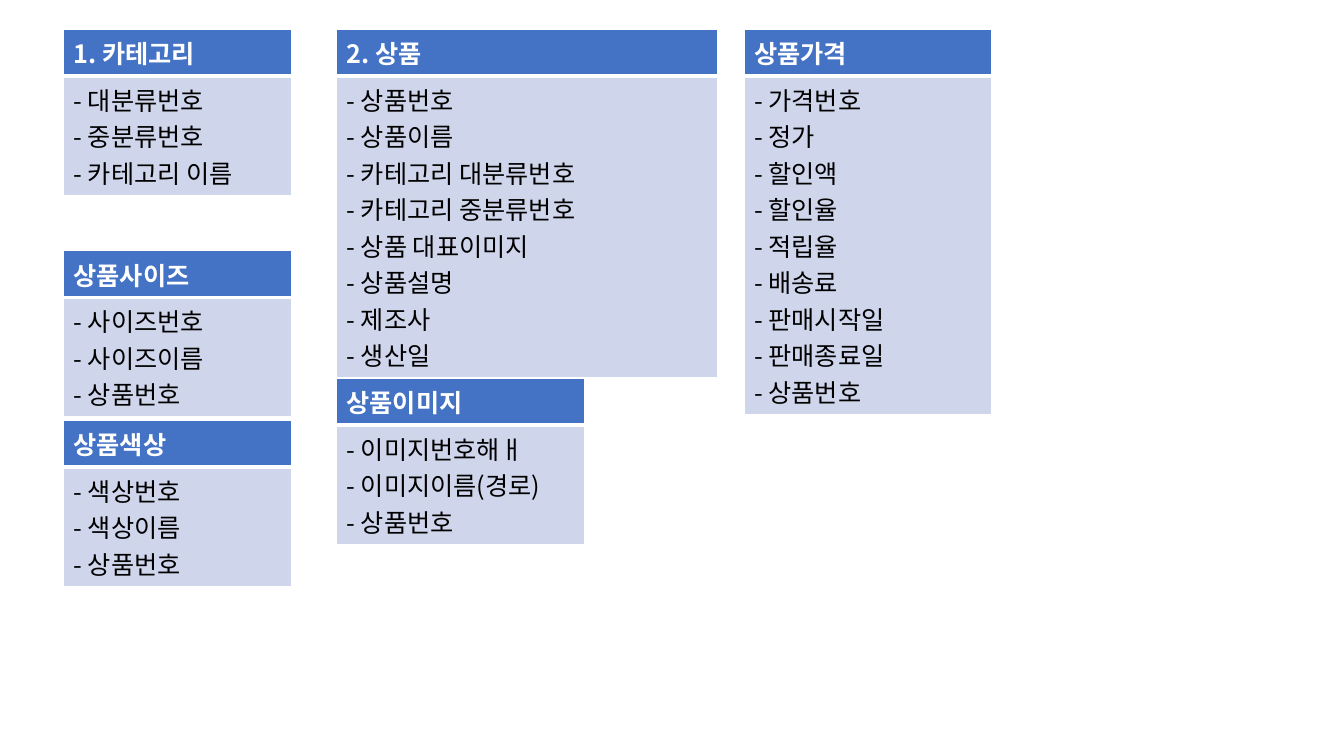
from dataclasses import dataclass

from lxml.etree import SubElement
from pptx import Presentation
from pptx.dml.color import RGBColor
from pptx.oxml.ns import qn
from pptx.util import Cm, Pt


@dataclass(frozen=True)
class Theme:
    font: str = "Noto Sans CJK KR"
    size: int = 18
    header_fill: str = "4472C4"
    header_text: str = "FFFFFF"
    body_fill: str = "CFD5EA"
    body_text: str = "000000"
    border: str = "FFFFFF"
    thin: int = 1
    thick: int = 3


THEME = Theme()
HEADER_HEIGHT = 1.02
LINE_HEIGHT = 0.76
CELL_PADDING = 0.25
LEFT, MIDDLE, RIGHT = 1.6, 8.48, 18.75
TOP = 0.74

ENTITIES = [
    ((LEFT, TOP, 5.74), "1. 카테고리", ["대분류번호", "중분류번호", "카테고리 이름"]),
    ((MIDDLE, TOP, 9.6), "2. 상품",
     ["상품번호", "상품이름", "카테고리 대분류번호", "카테고리 중분류번호",
      "상품 대표이미지", "상품설명", "제조사", "생산일"]),
    ((LEFT, 6.32, 5.74), "상품사이즈", ["사이즈번호", "사이즈이름", "상품번호"]),
    ((LEFT, 10.59, 5.74), "상품색상", ["색상번호", "색상이름", "상품번호"]),
    ((MIDDLE, 9.53, 6.25), "상품이미지", ["이미지번호해ㅐ", "이미지이름(경로)", "상품번호"]),
    ((RIGHT, TOP, 6.25), "상품가격",
     ["가격번호", "정가", "할인액", "할인율", "적립율", "배송료",
      "판매시작일", "판매종료일", "상품번호"]),
]


def set_borders(cell, top, bottom):
    properties = cell._tc.get_or_add_tcPr()
    widths = {"lnL": THEME.thin, "lnR": THEME.thin, "lnT": top, "lnB": bottom}
    for side, width in widths.items():
        line = SubElement(properties, qn(f"a:{side}"), w=str(Pt(width)))
        fill = SubElement(line, qn("a:solidFill"))
        SubElement(fill, qn("a:srgbClr"), val=THEME.border)


def fill_cell(cell, lines, fill, color, bold):
    cell.fill.solid()
    cell.fill.fore_color.rgb = RGBColor.from_string(fill)
    cell.text = "\n".join(lines)
    for paragraph in cell.text_frame.paragraphs:
        paragraph.font.size = Pt(THEME.size)
        paragraph.font.bold = bold
        paragraph.font.color.rgb = RGBColor.from_string(color)
        for run in paragraph.runs:
            run.font.name = THEME.font
            SubElement(run._r.get_or_add_rPr(), qn("a:ea"), typeface=THEME.font)


def add_entity(slide, box, title, fields):
    left, top, width = box
    body_height = CELL_PADDING + LINE_HEIGHT * len(fields)
    frame = slide.shapes.add_table(
        2, 1, Cm(left), Cm(top), Cm(width), Cm(HEADER_HEIGHT + body_height))
    table = frame.table
    table.rows[0].height = Cm(HEADER_HEIGHT)
    table.rows[1].height = Cm(body_height)
    header, body = table.cell(0, 0), table.cell(1, 0)
    set_borders(header, THEME.thin, THEME.thick)
    set_borders(body, THEME.thick, THEME.thin)
    fill_cell(header, [title], THEME.header_fill, THEME.header_text, True)
    fill_cell(body, [f"- {field}" for field in fields],
              THEME.body_fill, THEME.body_text, False)


def main():
    presentation = Presentation()
    presentation.slide_width = Cm(33.87)
    presentation.slide_height = Cm(19.05)
    slide = presentation.slides.add_slide(presentation.slide_layouts[6])
    for box, title, fields in ENTITIES:
        add_entity(slide, box, title, fields)
    presentation.save("out.pptx")


if __name__ == "__main__":
    main()
